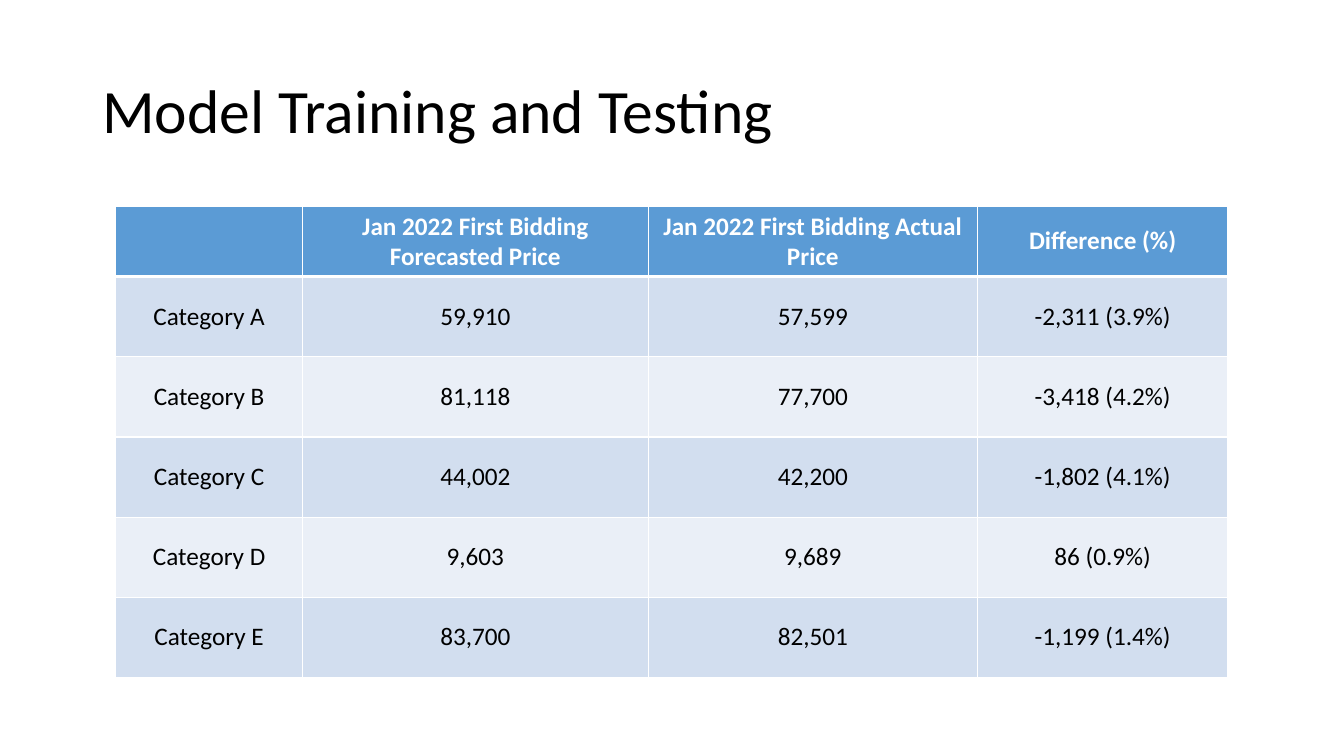
import lxml.etree
import pptx
import pptx.dml.color
import pptx.enum.text
import pptx.oxml.ns
import pptx.util

Cm = pptx.util.Cm
Pt = pptx.util.Pt
RGBColor = pptx.dml.color.RGBColor
PP_ALIGN = pptx.enum.text.PP_ALIGN
MSO_ANCHOR = pptx.enum.text.MSO_ANCHOR
qn = pptx.oxml.ns.qn

WHITE = RGBColor(0xFF, 0xFF, 0xFF)
BLACK = RGBColor(0x00, 0x00, 0x00)
HEADER_BLUE = RGBColor(0x5B, 0x9B, 0xD5)
BAND_DARK = RGBColor(0xD2, 0xDE, 0xEF)
BAND_LIGHT = RGBColor(0xEA, 0xEF, 0xF7)

FONT = "Calibri"
THIN, THICK = 1, 3

COLUMN_WIDTHS = [4.7, 8.72, 8.29, 6.32]
HEADER_HEIGHT, BODY_HEIGHT = 1.78, 2.02
PRICE_ROWS = [
    ["", "Jan 2022 First Bidding Forecasted Price",
     "Jan 2022 First Bidding Actual Price", "Difference (%)"],
    ["Category A", "59,910", "57,599", "-2,311 (3.9%)"],
    ["Category B", "81,118", "77,700", "-3,418 (4.2%)"],
    ["Category C", "44,002", "42,200", "-1,802 (4.1%)"],
    ["Category D", "9,603", "9,689", "86 (0.9%)"],
    ["Category E", "83,700", "82,501", "-1,199 (1.4%)"],
]


def write_text(text_frame, text, size=18, color=BLACK, bold=False,
               align=PP_ALIGN.CENTER, line_spacing=None):
    paragraph = text_frame.paragraphs[0]
    paragraph.alignment = align
    paragraph.line_spacing = line_spacing
    font = paragraph.font
    if text:
        run = paragraph.add_run()
        run.text = text
        font = run.font
    font.name = FONT
    font.size = Pt(size)
    font.bold = bold
    font.color.rgb = color


def set_borders(cell, top, bottom):
    """Draw white cell borders; top and bottom are widths in points."""
    properties = cell._tc.get_or_add_tcPr()
    widths = {"a:lnL": THIN, "a:lnR": THIN, "a:lnT": top, "a:lnB": bottom}
    for position, (tag, width) in enumerate(widths.items()):
        line = lxml.etree.Element(qn(tag), w=str(Pt(width)))
        fill = lxml.etree.SubElement(line, qn("a:solidFill"))
        lxml.etree.SubElement(fill, qn("a:srgbClr"), val=str(WHITE))
        properties.insert(position, line)


class SlideBuilder:
    def __init__(self, presentation):
        self.slide = presentation.slides.add_slide(presentation.slide_layouts[6])

    def add_title(self, text, left, top, width, height):
        shape = self.slide.shapes.add_textbox(Cm(left), Cm(top), Cm(width), Cm(height))
        text_frame = shape.text_frame
        text_frame.word_wrap = True
        text_frame.vertical_anchor = MSO_ANCHOR.MIDDLE
        write_text(text_frame, text, size=44, align=PP_ALIGN.LEFT, line_spacing=0.9)

    def add_banded_table(self, rows, left, top, column_widths):
        height = HEADER_HEIGHT + BODY_HEIGHT * (len(rows) - 1)
        table = self.slide.shapes.add_table(
            len(rows), len(column_widths), Cm(left), Cm(top),
            Cm(sum(column_widths)), Cm(height)).table
        for column, width in zip(table.columns, column_widths):
            column.width = Cm(width)
        for row_index, texts in enumerate(rows):
            is_header = row_index == 0
            table.rows[row_index].height = Cm(HEADER_HEIGHT if is_header else BODY_HEIGHT)
            band = BAND_DARK if row_index % 2 else BAND_LIGHT
            for column_index, text in enumerate(texts):
                cell = table.cell(row_index, column_index)
                cell.vertical_anchor = MSO_ANCHOR.MIDDLE
                cell.fill.solid()
                cell.fill.fore_color.rgb = HEADER_BLUE if is_header else band
                set_borders(cell, top=THICK if row_index == 1 else THIN,
                            bottom=THICK if is_header else THIN)
                write_text(cell.text_frame, text, bold=is_header,
                           color=WHITE if is_header else BLACK)


def main():
    presentation = pptx.Presentation()
    presentation.slide_width = Cm(33.87)
    presentation.slide_height = Cm(19.05)
    builder = SlideBuilder(presentation)
    builder.add_title("Model Training and Testing", 2.33, 1.01, 29.21, 3.68)
    builder.add_banded_table(PRICE_ROWS, 2.92, 5.19, COLUMN_WIDTHS)
    presentation.save("out.pptx")


if __name__ == "__main__":
    main()
